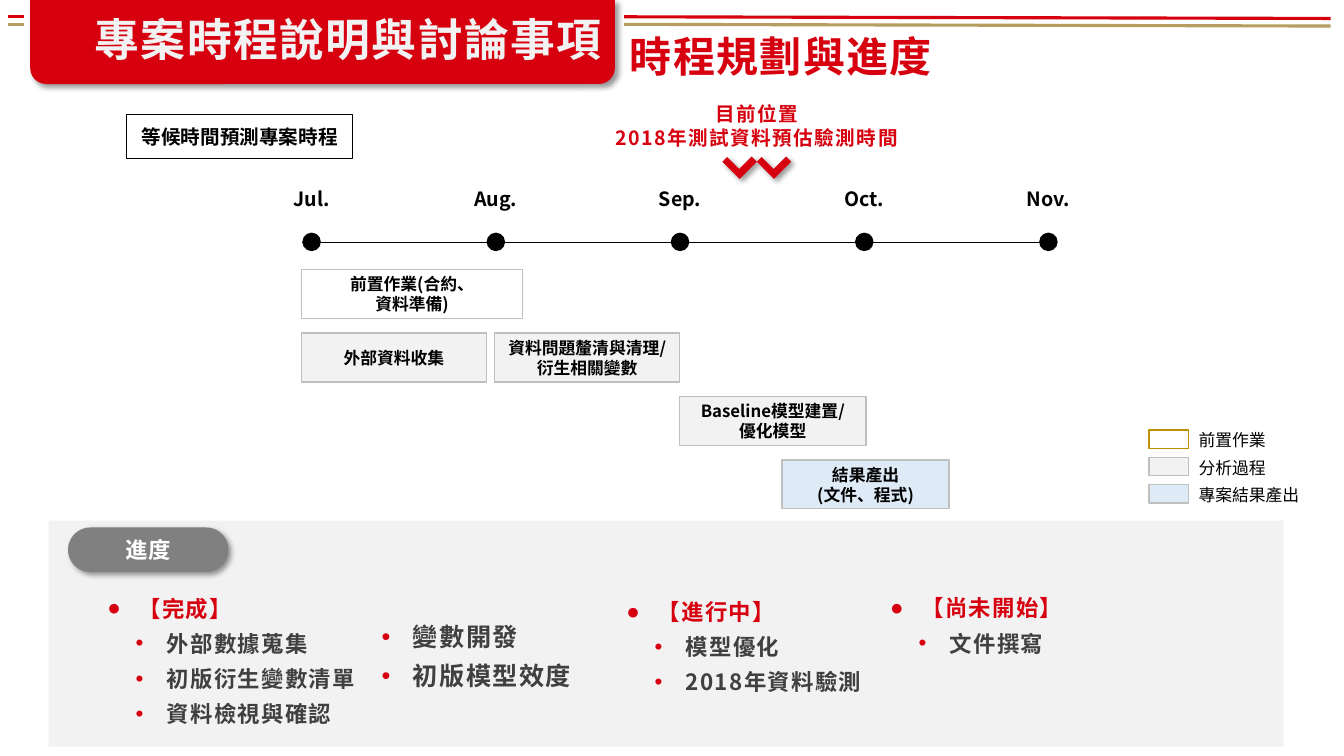
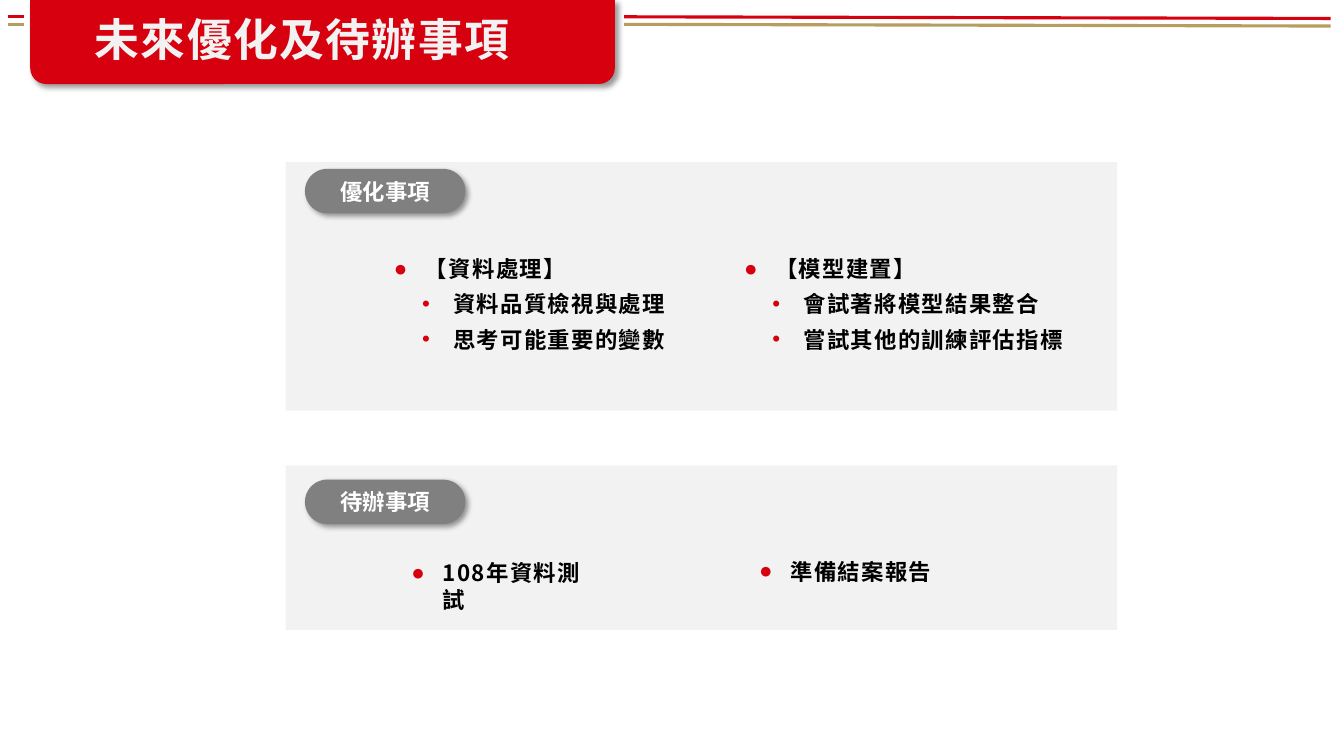
from lxml import etree
from pptx import Presentation
from pptx import util as u
from pptx.dml.color import RGBColor
from pptx.enum import shapes, text
from pptx.oxml import ns

COLUMNS, ROWS, CELL = 160, 90, 6
RED, GOLD, BLACK, WHITE = "D6000F", "B69E60", "000000", "FFFFFF"
PALE, GRAY, DARK, BORDER = "F2F2F2", "808080", "404040", "BFBFBF"
BLUE, MUSTARD = "DEEBF7", "BF9000"
SANS, SANS_TC = "Noto Sans CJK SC", "Noto Sans CJK TC"
KIND = shapes.MSO_SHAPE
CENTER = text.PP_ALIGN.CENTER


def cells(*counts):
    """Turn grid cells into lengths."""
    return [u.Pt(count * CELL) for count in counts]


def paint(target, color):
    """Give a fill or font colour a hex value."""
    if hasattr(target, "solid"):
        target.solid()
        target = target.fore_color
    target.rgb = RGBColor.from_string(color)


def add_element(parent, tag, **attributes):
    """Append a drawing element with its attributes."""
    element = etree.SubElement(parent, ns.qn(tag))
    for name, value in attributes.items():
        element.set(name, str(value))
    return element


def add_shadow(shape):
    """Cast a soft shadow to the lower right."""
    effects = shape._element.spPr.find(ns.qn("a:effectLst"))
    shadow = add_element(effects, "a:outerShdw", blurRad=u.Pt(4), dist=u.Pt(3),
                         dir=45 * 60000, algn="tl", rotWithShape=0)
    color = add_element(shadow, "a:srgbClr", val=BLACK)
    add_element(color, "a:alpha", val=40000)


def add_run(paragraph, words, size, color=BLACK, bold=True, name=SANS, spacing=0):
    """Write one formatted run."""
    run = paragraph.add_run()
    run.text = words
    formats = {"size": u.Pt(size), "bold": bold, "name": name}
    for key, value in formats.items():
        setattr(run.font, key, value)
    paint(run.font.color, color)
    properties = run.font._element
    properties.set("spc", str(spacing * 100))
    add_element(properties, "a:ea", typeface=name)


def write(shape, words, size, align=CENTER, middle=True, **formats):
    """Fill a shape with one paragraph per line of words."""
    frame = shape.text_frame
    frame.word_wrap = True
    frame.vertical_anchor = text.MSO_ANCHOR.MIDDLE if middle else text.MSO_ANCHOR.TOP
    for index, line in enumerate(words.split("\n")):
        paragraph = frame.add_paragraph() if index else frame.paragraphs[0]
        paragraph.alignment = align
        add_run(paragraph, line, size, **formats)


def add_label(slide, box, words, size, **formats):
    """Place a text box."""
    write(slide.shapes.add_textbox(*cells(*box)), words, size, **formats)


def add_block(slide, box, kind=KIND.RECTANGLE, fill=None, line=None,
              weight=1, adjust=(), shadow=False):
    """Place a preset shape with plain fill and outline."""
    shape = slide.shapes.add_shape(kind, *cells(*box))
    shape.shadow.inherit = False
    for index, value in enumerate(adjust):
        shape.adjustments[index] = value
    if fill:
        paint(shape.fill, fill)
    else:
        shape.fill.background()
    if line:
        paint(shape.line.color, line)
        shape.line.width = u.Pt(weight)
    else:
        shape.line.fill.background()
    if shadow:
        add_shadow(shape)
    return shape


def add_line(slide, ends, color, weight):
    """Draw a straight line."""
    line = slide.shapes.add_connector(shapes.MSO_CONNECTOR.STRAIGHT, *cells(*ends))
    paint(line.line.color, color)
    line.line.width = u.Pt(weight)
    add_element(line._element.spPr, "a:effectLst")


def add_list(slide, box, heading, items, color=BLACK, heading_color=BLACK, size=16):
    """Place a bulleted heading with bulleted items beneath."""
    frame = slide.shapes.add_textbox(*cells(*box)).text_frame
    frame.word_wrap = True
    rows = [(heading, "●", 0.31, heading_color)] if heading else []
    rows += [(item, "•", 0.59, color) for item in items]
    for index, (words, bullet, margin, row_color) in enumerate(rows):
        paragraph = frame.add_paragraph() if index else frame.paragraphs[0]
        properties = paragraph._p.get_or_add_pPr()
        properties.set("marL", str(u.Inches(margin)))
        properties.set("indent", str(u.Inches(-0.31)))
        add_element(add_element(properties, "a:buClr"), "a:srgbClr", val=RED)
        add_element(properties, "a:buFont", typeface="Arial")
        add_element(properties, "a:buChar", char=bullet)
        if index:
            paragraph.space_before = u.Pt(6)
        add_run(paragraph, words, size, row_color, spacing=1)


def add_panel(slide, box, caption, drop):
    """Place a pale panel with a caption pill."""
    add_block(slide, box, fill=PALE)
    left, top = box[:2]
    pill = add_block(slide, (left + 2.3, top + drop, 19.1, 5.3), KIND.ROUNDED_RECTANGLE,
                     GRAY, adjust=[0.5], shadow=True)
    write(pill, caption, 16, color=WHITE)


def add_titled_slide(presentation, title):
    """Start a slide with the shared rules, band and title."""
    slide = presentation.slides.add_slide(presentation.slide_layouts[6])
    for color, top in ((RED, 2), (GOLD, 2.9)):
        add_line(slide, (74.3, top, 158.4, top + 0.2), color, 2.25)
        add_line(slide, (1, top, 2.9, top), color, 2.25)
    add_block(slide, (3.6, 0, 69.6, 10), KIND.ROUND_2_SAME_RECTANGLE, RED,
              adjust=[0, 0.19], shadow=True)
    add_label(slide, (10.1, 0.8, 65, 7.7), title, 32, align=None, middle=False,
              color=PALE, spacing=1)
    return slide


def add_timeline(slide):
    """Draw the months, the tasks and the current position."""
    add_line(slide, (36, 28.8, 125.8, 28.8), BLACK, 0.5)
    for index, month in enumerate(("Jul.", "Aug.", "Sep.", "Oct.", "Nov.")):
        left = 36 + 21.93 * index
        add_block(slide, (left, 27.7, 2.2, 2.2), KIND.OVAL, BLACK)
        add_label(slide, (left - 3.8, 21.5, 9.8, 4.2), month, 14)
    tasks = (
        (0, 35.9, 26.3, None, "前置作業(合約、\n資料準備)"),
        (1, 35.9, 22, PALE, "外部資料收集"),
        (1, 58.9, 22, PALE, "資料問題釐清與清理/\n衍生相關變數"),
        (2, 80.9, 22.2, PALE, "Baseline模型建置/\n優化模型"),
        (3, 93.1, 19.9, BLUE, "結果產出\n(文件、程式)"),
    )
    for row, left, width, fill, words in tasks:
        box = (left, 32.1 + 7.56 * row, width, 5.8)
        write(add_block(slide, box, fill=fill, line=BORDER), words, 12)
    add_label(slide, (70.1, 11.6, 40, 6.8), "目前位置\n2018年測試資料預估驗測時間", 14,
              middle=False, color=RED, spacing=1)
    for left in (86.6, 90.7):
        arrow = add_block(slide, (left, 17.8, 2.9, 2.9), KIND.CORNER, RED,
                          adjust=[0.3, 0.28], shadow=True)
        arrow.rotation = 315


def add_legend(slide):
    """Explain the task colours."""
    entries = ((None, MUSTARD, "前置作業"), (PALE, BORDER, "分析過程"),
               (BLUE, BORDER, "專案結果產出"))
    for index, (fill, line, words) in enumerate(entries):
        top = 51.2 + 3.25 * index
        add_block(slide, (136.8, top, 4.7, 2.2), fill=fill, line=line)
        add_label(slide, (141.5, top - 0.6, 16, 3.6), words, 12, align=None,
                  middle=False, bold=False, name=SANS_TC)


def add_schedule_slide(presentation):
    """Build the schedule and progress slide."""
    slide = add_titled_slide(presentation, "專案時程說明與討論事項")
    add_label(slide, (73.8, 3.1, 42, 7.3), "時程規劃與進度", 30, align=None,
              middle=False, color=RED, spacing=1)
    caption = add_block(slide, (15.1, 13.6, 26.9, 5.3), fill=WHITE, line=BLACK, weight=0.75)
    write(caption, "等候時間預測專案時程", 14)
    add_timeline(slide)
    add_legend(slide)
    add_panel(slide, (5.8, 62, 147, 26.9), "進度", 0.8)
    progress = (
        ((11.6, 70.2, 32.5, 17.2), "【完成】",
         ("外部數據蒐集", "初版衍生變數清單", "資料檢視與確認"), 16),
        ((40.9, 73.4, 32.6, 9.5), None, ("變數開發", "初版模型效度"), 18),
        ((73.4, 70.6, 30.5, 13), "【進行中】", ("模型優化", "2018年資料驗測"), 16),
        ((104.8, 70.2, 23.4, 8.6), "【尚未開始】", ("文件撰寫",), 16),
    )
    for box, heading, items, size in progress:
        add_list(slide, box, heading, items, DARK, RED, size)


def add_todo_slide(presentation):
    """Build the improvements and to-do slide."""
    slide = add_titled_slide(presentation, "未來優化及待辦事項")
    add_panel(slide, (34, 19.3, 99, 29.6), "優化事項", 0.8)
    add_panel(slide, (34, 55.4, 99, 19.6), "待辦事項", 1.7)
    lists = (
        ((45.7, 29.8, 35.3, 13), "【資料處理】", ("資料品質檢視與處理", "思考可能重要的變數")),
        ((87.4, 29.8, 41, 13), "【模型建置】", ("會試著將模型結果整合", "嘗試其他的訓練評估指標")),
        ((47.8, 66, 25, 4.4), "108年資料測試", ()),
        ((89.2, 65.8, 24, 4.4), "準備結案報告", ()),
    )
    for box, heading, items in lists:
        add_list(slide, box, heading, items)


def main():
    """Build and save the presentation."""
    presentation = Presentation()
    presentation.slide_width, presentation.slide_height = cells(COLUMNS, ROWS)
    add_schedule_slide(presentation)
    add_todo_slide(presentation)
    presentation.save("out.pptx")


if __name__ == "__main__":
    main()
